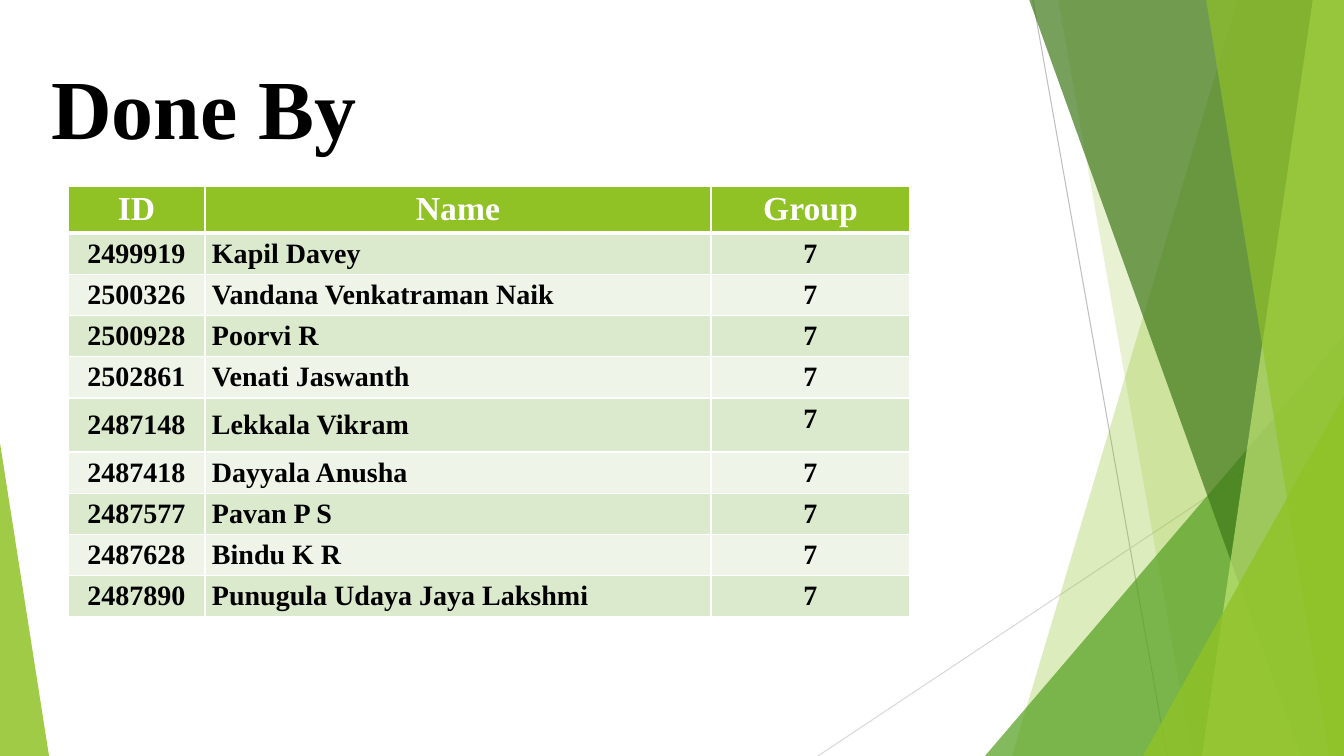
from lxml.etree import SubElement
from pptx import Presentation
from pptx.dml.color import RGBColor
from pptx.enum.shapes import MSO_CONNECTOR, MSO_SHAPE
from pptx.enum.text import MSO_ANCHOR, PP_ALIGN
from pptx.oxml import parse_xml
from pptx.oxml.ns import nsdecls, qn
from pptx.util import Pt

SCALE = 914400 / 100.8
WIDTH, HEIGHT = 1344, 756
GREEN, WHITE, BLACK = "90C226", "FFFFFF", "000000"
BANDS = ("DBE9CD", "EEF4E8")
GROUP = "7"
MEMBERS = [
    ("2499919", "Kapil Davey"),
    ("2500326", "Vandana Venkatraman Naik"),
    ("2500928", "Poorvi R"),
    ("2502861", "Venati Jaswanth"),
    ("2487148", "Lekkala Vikram"),
    ("2487418", "Dayyala Anusha"),
    ("2487577", "Pavan P S"),
    ("2487628", "Bindu K R"),
    ("2487890", "Punugula Udaya Jaya Lakshmi"),
]


def px(n):
    return round(n * SCALE)


def rgb(color):
    return RGBColor.from_string(color)


class Deck:
    font = "Times New Roman"

    def __init__(self):
        self.prs = Presentation()
        self.prs.slide_width, self.prs.slide_height = px(WIDTH), px(HEIGHT)
        self.s = self.prs.slides.add_slide(self.prs.slide_layouts[5])

    def text(self, tf, text, size, color, align):
        tf.text = text
        p = tf.paragraphs[0]
        p.alignment = align
        font = p.runs[0].font
        for key, value in {"name": self.font, "size": Pt(size), "bold": True}.items():
            setattr(font, key, value)
        font.color.rgb = rgb(color)

    def title(self, text, x, y, w, h):
        sp = self.s.shapes.title
        sp.left, sp.top, sp.width, sp.height = map(px, (x, y, w, h))
        tf = sp.text_frame
        tf.vertical_anchor = MSO_ANCHOR.TOP
        tf.margin_top = px(16)
        self.text(tf, text, 60, BLACK, PP_ALIGN.LEFT)

    def line(self, x1, y1, x2, y2, color):
        c = self.s.shapes.add_connector(MSO_CONNECTOR.STRAIGHT, *map(px, (x1, y1, x2, y2)))
        c.line.color.rgb = rgb(color)
        c.line.width = Pt(0.75)
        SubElement(c._element.spPr, qn("a:effectLst"))

    def paint(self, sp, color, opacity):
        sp.shadow.inherit = False
        sp.line.fill.background()
        sp.fill.solid()
        sp.fill.fore_color.rgb = rgb(color)
        clr = sp._element.spPr.find(".//" + qn("a:srgbClr"))
        SubElement(clr, qn("a:alpha"), val=str(opacity * 1000))

    def facet(self, top, bottom, color, opacity):
        """Band from a slanted left edge to the right edge of the slide."""
        fb = self.s.shapes.build_freeform(top, -1, scale=SCALE)
        fb.add_line_segments([(WIDTH, -1), (WIDTH, HEIGHT), (bottom, HEIGHT)])
        self.paint(fb.convert_to_shape(), color, opacity)

    def triangle(self, x, y, w, apex, color, opacity):
        """Triangle standing on the bottom edge of the slide."""
        sp = self.s.shapes.add_shape(
            MSO_SHAPE.ISOSCELES_TRIANGLE, *map(px, (x, y, w, HEIGHT - y)))
        sp.adjustments[0] = apex
        self.paint(sp, color, opacity)

    def borders(self, cell, **widths):
        tcPr = cell._tc.get_or_add_tcPr()
        for side, width in widths.items():
            tcPr.append(parse_xml(
                f'<a:ln{side} {nsdecls("a")} w="{Pt(width)}"><a:solidFill>'
                f'<a:srgbClr val="{WHITE}"/></a:solidFill></a:ln{side}>'))

    def table(self, x, y, cols, heights, rows):
        frame = self.s.shapes.add_table(
            len(rows), len(cols), *map(px, (x, y, sum(cols), sum(heights))))
        table = frame.table
        for col, width in zip(table.columns, cols):
            col.width = px(width)
        for i, (height, values) in enumerate(zip(heights, rows)):
            table.rows[i].height = px(height)
            for j, value in enumerate(values):
                self.cell(table.cell(i, j), i, j, value)

    def cell(self, cell, i, j, value):
        header = i == 0
        self.borders(cell, L=1, R=1, T=3 if i == 1 else 1, B=3 if header else 1)
        cell.fill.solid()
        cell.fill.fore_color.rgb = rgb(GREEN if header else BANDS[(i - 1) % 2])
        if not header and j < 2:
            cell.vertical_anchor = MSO_ANCHOR.MIDDLE
            cell.margin_left = cell.margin_right = px(7)
            cell.margin_top = cell.margin_bottom = 0
        align = PP_ALIGN.LEFT if j == 1 and not header else PP_ALIGN.CENTER
        size, color = (24, WHITE) if header else (20, BLACK)
        self.text(cell.text_frame, value, size, color, align)


def main():
    deck = Deck()
    deck.line(1033, 0, 1167, HEIGHT, "BFBFBF")
    deck.line(WIDTH, 406, 818, HEIGHT, "D9D9D9")
    deck.facet(1238, 1012, GREEN, 30)
    deck.facet(1058, 1192, GREEN, 20)
    deck.triangle(985, 336, 359, 1, "54A021", 72)
    deck.facet(1029, 1301, "3F7819", 70)
    deck.facet(1313, 1202, "C0E474", 70)
    deck.facet(1206, 1329, GREEN, 65)
    deck.triangle(1143, 396, 201, 1, GREEN, 80)
    deck.triangle(0, 443, 49, 0, GREEN, 85)
    deck.title("Done By", 41, 39, 948, 145)
    rows = [("ID", "Name", "Group")] + [(*member, GROUP) for member in MEMBERS]
    heights = [54 if row[0] == "2487148" else 41 for row in rows]
    deck.table(68, 186, (137, 506, 199), heights, rows)
    deck.prs.save("out.pptx")


if __name__ == "__main__":
    main()
